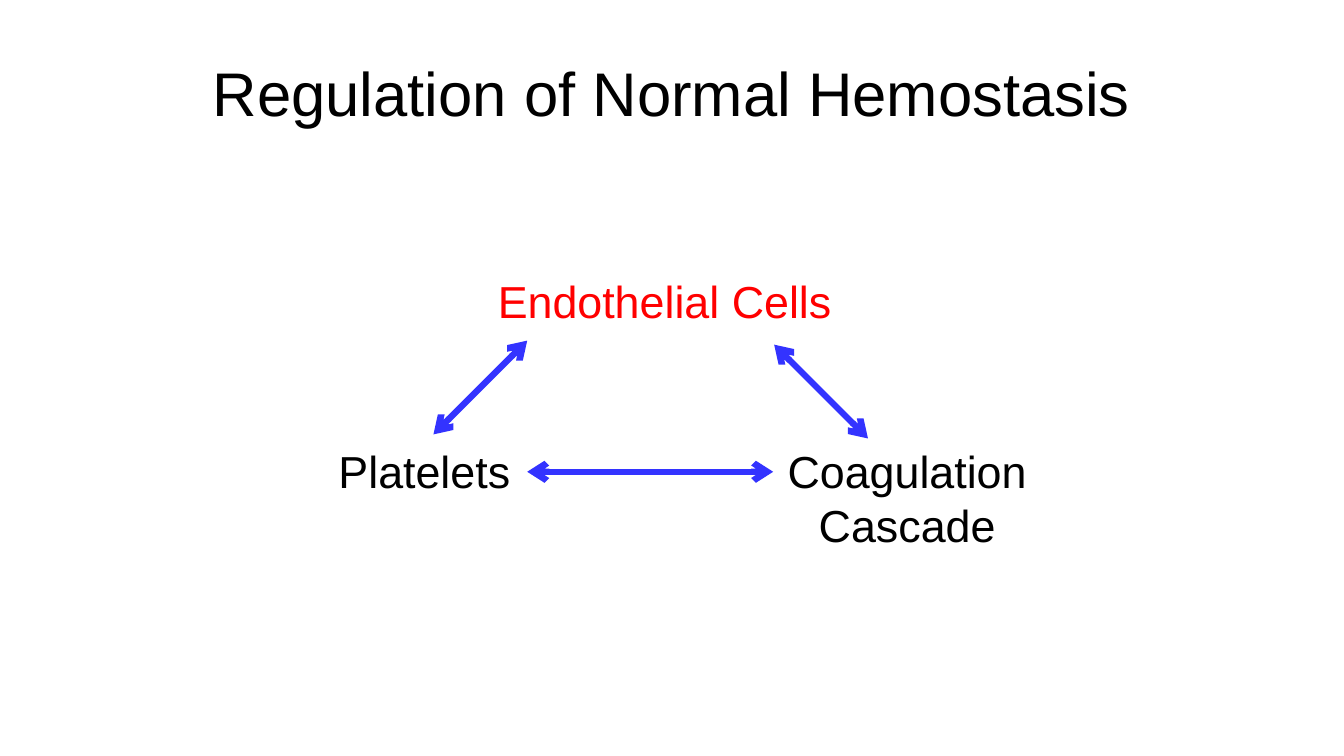
import pptx
import pptx.util
import pptx.dml.color
import pptx.enum.shapes
import pptx.enum.text
import pptx.oxml.ns
from dataclasses import dataclass
from lxml import etree

Pt = pptx.util.Pt
RGB = pptx.dml.color.RGBColor.from_string
Align = pptx.enum.text.PP_ALIGN
Anchor = pptx.enum.text.MSO_ANCHOR
qn = pptx.oxml.ns.qn


@dataclass(frozen=True)
class Theme:
    font: str = "Arial"
    ink: str = "000000"
    accent: str = "FF0000"
    arrow: str = "3333FF"
    title_size: float = 44
    factor_size: float = 32
    arrow_width: float = 4.5


theme = Theme()

TITLE = "Regulation of Normal Hemostasis"
TITLE_BOX = (120, 24, 720, 90)

FACTORS = [
    ("Endothelial Cells", (348.5, 192, 268, 46), Align.LEFT, theme.accent),
    ("Platelets", (234.7, 313.2, 177, 46), Align.LEFT, theme.ink),
    ("Coagulation Cascade", (553, 313.2, 190, 85), Align.CENTER, theme.ink),
]

INTERACTIONS = [
    ((376.6, 337), (552.3, 337)),
    ((309.6, 310.3), (376.6, 243.3)),
    ((620, 313.2), (553, 246.2)),
]


def write(frame, wording, size, color, align):
    frame.word_wrap = True
    paragraph = frame.paragraphs[0]
    paragraph.alignment = align
    run = paragraph.add_run()
    run.text = wording
    run.font.name = theme.font
    run.font.size = Pt(size)
    run.font.color.rgb = RGB(color)
    return paragraph


def add_title(slide):
    title = slide.shapes.title
    title.left, title.top, title.width, title.height = map(Pt, TITLE_BOX)
    title.text_frame.vertical_anchor = Anchor.MIDDLE
    heading = write(title.text_frame, TITLE, theme.title_size, theme.ink, Align.CENTER)
    heading.line_spacing = 0.9


def add_interaction(shapes, start, end):
    arrow = shapes.add_connector(
        pptx.enum.shapes.MSO_CONNECTOR.STRAIGHT, *map(Pt, start + end)
    )
    arrow.line.color.rgb = RGB(theme.arrow)
    arrow.line.width = Pt(theme.arrow_width)
    outline = arrow.line._get_or_add_ln()
    for tip in ("a:headEnd", "a:tailEnd"):
        etree.SubElement(outline, qn(tip), type="arrow")
    etree.SubElement(outline.getparent(), qn("a:effectLst"))


def main():
    deck = pptx.Presentation()
    deck.slide_width, deck.slide_height = Pt(960), Pt(540)
    slide = deck.slides.add_slide(deck.slide_layouts[5])
    add_title(slide)
    cycle = slide.shapes.add_group_shape().shapes
    for wording, box, align, color in FACTORS:
        factor = cycle.add_textbox(*map(Pt, box))
        write(factor.text_frame, wording, theme.factor_size, color, align)
    for start, end in INTERACTIONS:
        add_interaction(cycle, start, end)
    deck.save("out.pptx")


if __name__ == "__main__":
    main()
